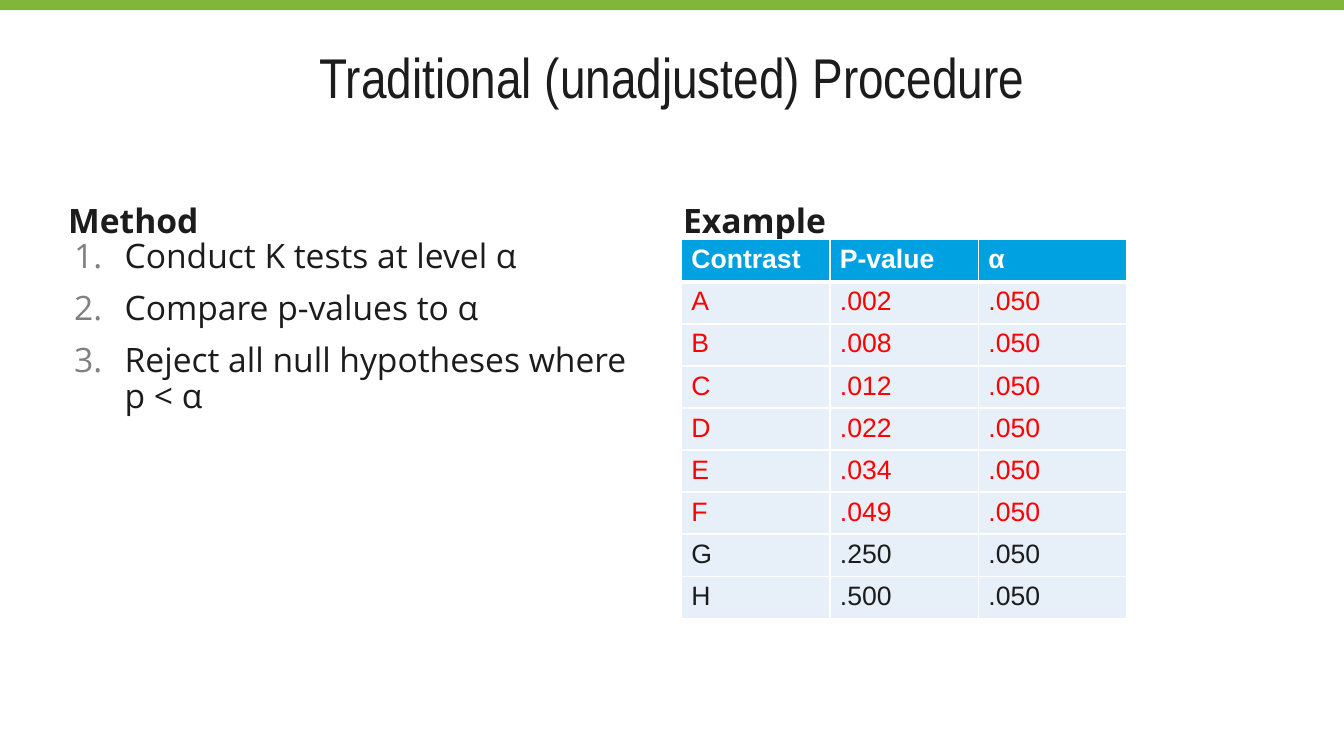
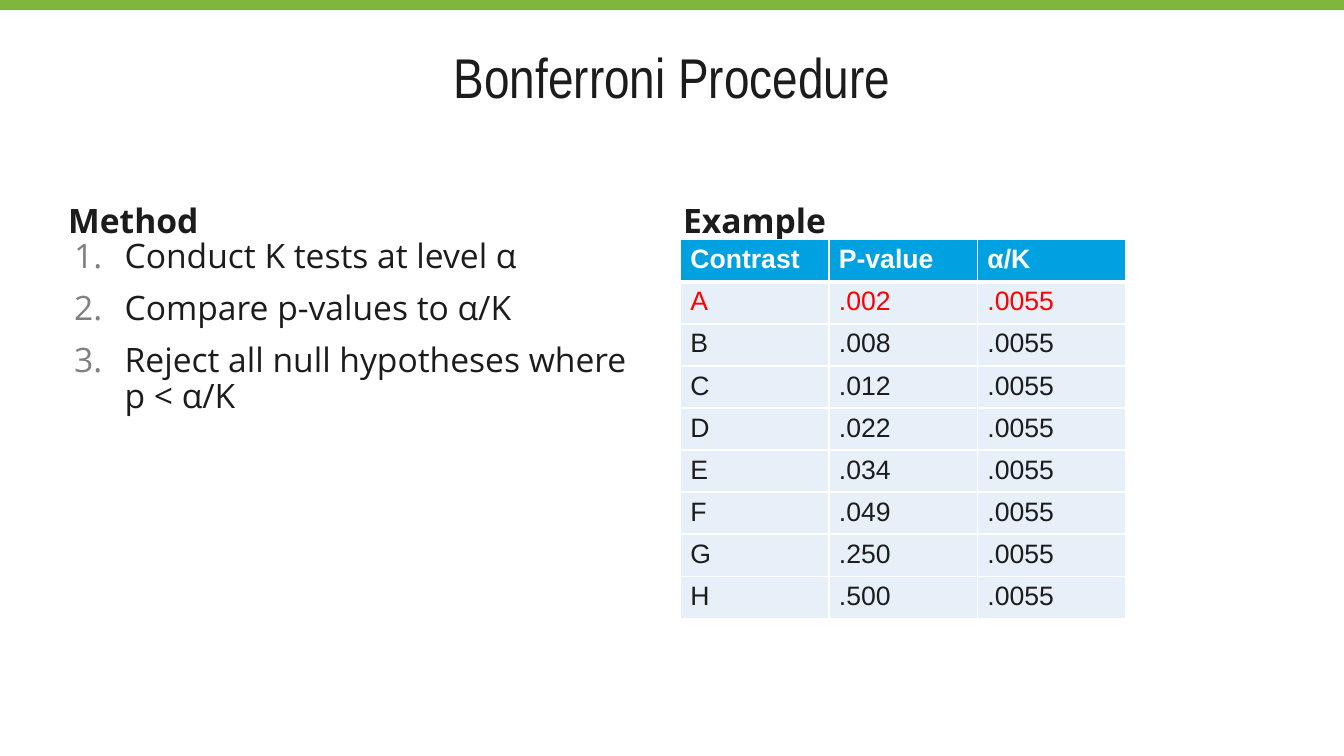
from lxml import etree
from pptx import Presentation
from pptx.dml.color import RGBColor
from pptx.enum.shapes import MSO_SHAPE
from pptx.enum.text import MSO_ANCHOR, PP_ALIGN
from pptx.oxml.ns import qn
from pptx.util import Inches, Pt

RECTANGLE = MSO_SHAPE.RECTANGLE
TOP, MIDDLE, BOTTOM = MSO_ANCHOR.TOP, MSO_ANCHOR.MIDDLE, MSO_ANCHOR.BOTTOM
LEFT, CENTER = PP_ALIGN.LEFT, PP_ALIGN.CENTER

INK = RGBColor(0x1C, 0x1C, 0x1C)
WHITE = RGBColor(0xFF, 0xFF, 0xFF)
GREEN = RGBColor(0x81, 0xB5, 0x3C)
BLUE = RGBColor(0x00, 0xA1, 0xE0)
PALE_BLUE = RGBColor(0xE7, 0xF0, 0xF9)
RED = RGBColor(0xFF, 0x00, 0x00)
GRAY = RGBColor(0x80, 0x80, 0x80)

TITLE_FONT, BODY_FONT, TABLE_FONT = "Arial Narrow", "Open Sans", "Arial"
WIDTH, HEIGHT = Inches(13.33), Inches(7.5)
COLUMNS, ROWS = 40, 75
METHOD_COLUMN, EXAMPLE_COLUMN = 2, 20.3
HEADING_ROW, CONTENT_ROW = 16.8, 23.8

P_VALUES = {
    "A": ".002", "B": ".008", "C": ".012", "D": ".022",
    "E": ".034", "F": ".049", "G": ".250", "H": ".500",
}
PROCEDURES = [
    ("Traditional (unadjusted) Procedure", "α", ".050", 20.28),
    ("Bonferroni Procedure", "α/K", ".0055", 20.25),
]


def write(paragraph, text, font=BODY_FONT, size=24, color=INK, bold=False,
          align=LEFT, before=0, after=0, spacing=1.0):
    paragraph.alignment = align
    paragraph.line_spacing = spacing
    paragraph.space_before, paragraph.space_after = Pt(before), Pt(after)
    run = paragraph.add_run()
    run.text = text
    run.font.name, run.font.size = font, Pt(size)
    run.font.color.rgb, run.font.bold = color, bold


def add_color(parent, color):
    etree.SubElement(parent, qn("a:srgbClr"), val=str(color))


def number_paragraph(paragraph):
    properties = paragraph._p.get_or_add_pPr()
    properties.set("marL", str(Inches(0.56)))
    properties.set("indent", str(Inches(-0.5)))
    add_color(etree.SubElement(properties, qn("a:buClr")), GRAY)
    etree.SubElement(properties, qn("a:buAutoNum"), type="arabicPeriod")


def add_borders(cell, **widths):
    properties = cell._tc.get_or_add_tcPr()
    for side in "LRTB":
        line = etree.SubElement(properties, qn(f"a:ln{side}"),
                                w=str(Pt(widths.get(side, 1))))
        add_color(etree.SubElement(line, qn("a:solidFill")), WHITE)


class Deck:
    def __init__(self):
        self.presentation = Presentation()
        self.presentation.slide_width = WIDTH
        self.presentation.slide_height = HEIGHT
        self.slide = None

    def place(self, column, row, columns, rows):
        return (round(WIDTH * column / COLUMNS), round(HEIGHT * row / ROWS),
                round(WIDTH * columns / COLUMNS), round(HEIGHT * rows / ROWS))

    def start_slide(self, title):
        layout = self.presentation.slide_layouts[6]
        self.slide = self.presentation.slides.add_slide(layout)
        self.band()
        frame = self.text_box(1.1, 1, 37.8, 9.9, anchor=BOTTOM)
        write(frame.paragraphs[0], title, font=TITLE_FONT, size=40, align=CENTER)

    def band(self):
        shape = self.slide.shapes.add_shape(RECTANGLE, *self.place(0, 0, COLUMNS, 1))
        shape.shadow.inherit = False
        shape.fill.solid()
        shape.fill.fore_color.rgb = GREEN
        shape.line.fill.background()

    def text_box(self, *area, anchor=TOP, inset=0):
        frame = self.slide.shapes.add_textbox(*self.place(*area)).text_frame
        frame.word_wrap = True
        frame.vertical_anchor = anchor
        frame.margin_left = Inches(inset)
        frame.margin_right = frame.margin_top = frame.margin_bottom = 0
        return frame

    def heading(self, text, column):
        frame = self.text_box(column, HEADING_ROW, 17.67, 7, anchor=BOTTOM, inset=0.01)
        write(frame.paragraphs[0], text, bold=True, after=6)

    def numbered_list(self, items):
        frame = self.text_box(METHOD_COLUMN, CONTENT_ROW, 16.9, 43.2, inset=0.01)
        for index, item in enumerate(items):
            paragraph = frame.add_paragraph() if index else frame.paragraphs[0]
            number_paragraph(paragraph)
            write(paragraph, item, before=6 if index else 0, after=6, spacing=0.88)

    def cell(self, cell, text, fill, color, bold=False, **borders):
        add_borders(cell, **borders)
        cell.fill.solid()
        cell.fill.fore_color.rgb = fill
        write(cell.text_frame.paragraphs[0], text, font=TABLE_FONT, size=19,
              color=color, bold=bold)

    def contrast_table(self, column, criterion, threshold):
        header = ("Contrast", "P-value", criterion)
        area = self.place(column, CONTENT_ROW, 13.26, 36.5)
        table = self.slide.shapes.add_table(
            len(P_VALUES) + 1, len(header), *area).table
        table.horz_banding = False
        for cell, text in zip(table.rows[0].cells, header):
            self.cell(cell, text, BLUE, WHITE, bold=True, B=3)
        for index, (contrast, p_value) in enumerate(P_VALUES.items(), 1):
            color = RED if float(p_value) < float(threshold) else INK
            values = (contrast, p_value, threshold)
            for cell, text in zip(table.rows[index].cells, values):
                self.cell(cell, text, PALE_BLUE, color, T=3 if index == 1 else 1)


def main():
    deck = Deck()
    for title, criterion, threshold, table_column in PROCEDURES:
        deck.start_slide(title)
        deck.heading("Method", METHOD_COLUMN)
        deck.numbered_list([
            "Conduct K tests at level α",
            f"Compare p-values to {criterion}",
            f"Reject all null hypotheses where p < {criterion}",
        ])
        deck.heading("Example", EXAMPLE_COLUMN)
        deck.contrast_table(table_column, criterion, threshold)
    deck.presentation.save("out.pptx")


if __name__ == "__main__":
    main()
